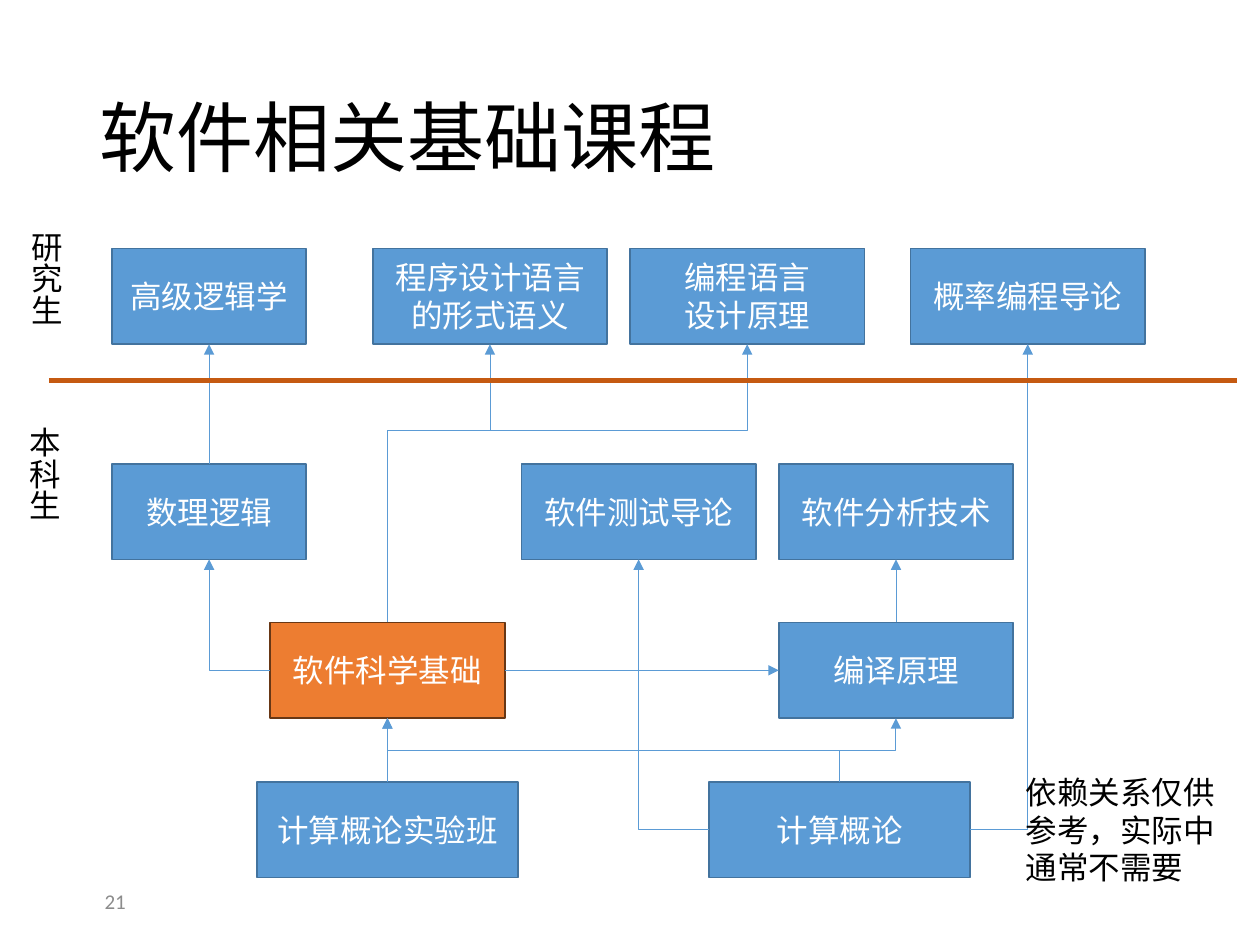
from lxml.etree import SubElement
from pptx import Presentation
from pptx.dml.color import RGBColor
from pptx.enum.shapes import MSO_CONNECTOR as Link, MSO_SHAPE as Shape
from pptx.enum.text import MSO_ANCHOR as Anchor, PP_ALIGN as Align
from pptx.oxml.ns import qn
from pptx.util import Pt

COLORS = {
    "course": "5B9BD5", "course_edge": "43739E",
    "focus": "ED7D31", "focus_edge": "683715",
    "divider": "C55A11", "text": "000000", "label": "FFFFFF", "number": "8C8C8C",
}
FONT = "Calibri"
TITLE = "软件相关基础课程"
NOTE = "依赖关系仅供参考，实际中通常不需要"
PAGE_NUMBER = "21"
LEVELS = [("研究生", 5, 125.3), ("本科生", 3.6, 236.9)]

BOX_HEIGHT = 54.7
ROWS = {"graduate": 142, "advanced": 265, "core": 355.7, "intro": 446.8}
NARROW, NORMAL, WIDE = 111, 134, 149
COURSES = {
    "高级逻辑学": ("graduate", 64, NARROW),
    "程序设计语言\v的形式语义": ("graduate", 213, NORMAL),
    "编程语言\v设计原理": ("graduate", 360, NORMAL),
    "概率编程导论": ("graduate", 520.3, NORMAL),
    "数理逻辑": ("advanced", 64, NARROW),
    "软件测试导论": ("advanced", 298, NORMAL),
    "软件分析技术": ("advanced", 445, NORMAL),
    "软件科学基础": ("core", 154.4, NORMAL),
    "编译原理": ("core", 445, NORMAL),
    "计算概论实验班": ("intro", 146.9, WIDE),
    "计算概论": ("intro", 405.3, WIDE),
}
FOCUS = "软件科学基础"

STRAIGHT_UP = [
    ("计算概论实验班", "软件科学基础"),
    ("编译原理", "软件分析技术"),
    ("数理逻辑", "高级逻辑学"),
]
STRAIGHT_RIGHT = [("软件科学基础", "编译原理")]
SIDE_THEN_UP = [
    ("计算概论", "概率编程导论"),
    ("软件科学基础", "数理逻辑"),
    ("计算概论", "软件测试导论"),
]
UP_SIDE_UP = [
    ("计算概论", "编译原理", 0.5),
    ("计算概论", "软件科学基础", 0.5),
    ("软件科学基础", "程序设计语言\v的形式语义", 0.69),
    ("软件科学基础", "编程语言\v设计原理", 0.69),
]

deck = Presentation()
deck.slide_width, deck.slide_height = Pt(720), Pt(540)
slide = deck.slides.add_slide(deck.slide_layouts[5])


def rgb(name):
    return RGBColor.from_string(COLORS[name])


def write(frame, text, size, color, align=Align.LEFT, anchor=Anchor.TOP):
    frame.text = text
    frame.word_wrap = True
    frame.vertical_anchor = anchor
    for paragraph in frame.paragraphs:
        paragraph.alignment = align
        for run in paragraph.runs:
            run.font.name, run.font.size = FONT, Pt(size)
            run.font.color.rgb = rgb(color)


def add_text(text, left, top, width, height, size, color, **layout):
    area = slide.shapes.add_textbox(Pt(left), Pt(top), Pt(width), Pt(height))
    write(area.text_frame, text, size, color, **layout)
    return area.text_frame


def add_course(name):
    row, left, width = COURSES[name]
    kind = "focus" if name == FOCUS else "course"
    course = slide.shapes.add_shape(
        Shape.RECTANGLE, Pt(left), Pt(ROWS[row]), Pt(width), Pt(BOX_HEIGHT))
    course.shadow.inherit = False
    course.fill.solid()
    course.fill.fore_color.rgb = rgb(kind)
    course.line.color.rgb = rgb(kind + "_edge")
    course.line.width = Pt(1)
    write(course.text_frame, name, 18, "label", Align.CENTER, Anchor.MIDDLE)


def side(name, edge):
    row, left, width = COURSES[name]
    top = ROWS[row]
    return {
        "top": (left + width / 2, top),
        "bottom": (left + width / 2, top + BOX_HEIGHT),
        "left": (left, top + BOX_HEIGHT / 2),
        "right": (left + width, top + BOX_HEIGHT / 2),
    }[edge]


def add_line(kind, start, end, color="course", weight=0.5, arrow=True):
    line = slide.shapes.add_connector(kind, *(Pt(v) for v in (*start, *end)))
    line.line.color.rgb = rgb(color)
    line.line.width = Pt(weight)
    properties = line._element.spPr
    if arrow:
        SubElement(properties.find(qn("a:ln")), qn("a:tailEnd"), type="triangle")
    SubElement(properties, qn("a:effectLst"))
    return properties


def add_side_then_up(source, target):
    end = side(target, "bottom")
    edge = "right" if end[0] > side(source, "top")[0] else "left"
    properties = add_line(Link.ELBOW, side(source, edge), end)
    properties.find(qn("a:prstGeom")).set("prst", "bentConnector2")


def add_up_side_up(source, target, turn):
    (x1, y1), (x2, y2) = side(source, "top"), side(target, "bottom")
    center_x, center_y = (x1 + x2) / 2, (y1 + y2) / 2
    half_rise, half_run = (y1 - y2) / 2, (x2 - x1) / 2
    properties = add_line(
        Link.ELBOW,
        (center_x - half_rise, center_y - half_run),
        (center_x + half_rise, center_y + half_run))
    properties.find(qn("a:xfrm")).set("rot", str(270 * 60000))
    guides = properties.find(qn("a:prstGeom")).find(qn("a:avLst"))
    SubElement(guides, qn("a:gd"), name="adj1", fmla=f"val {round(turn * 100000)}")


title = slide.shapes.title
title.left, title.top, title.width, title.height = Pt(49.5), Pt(28.8), Pt(543.6), Pt(104.4)
write(title.text_frame, TITLE, 44, "text", anchor=Anchor.MIDDLE)
title.text_frame.paragraphs[0].line_spacing = 0.9

for name in COURSES:
    add_course(name)
for source, target in STRAIGHT_UP:
    start, end = side(source, "top"), side(target, "bottom")
    add_line(Link.STRAIGHT, start, (start[0], end[1]))
for source, target in STRAIGHT_RIGHT:
    add_line(Link.STRAIGHT, side(source, "right"), side(target, "left"))
for source, target in SIDE_THEN_UP:
    add_side_then_up(source, target)
for source, target, turn in UP_SIDE_UP:
    add_up_side_up(source, target, turn)

add_line(Link.STRAIGHT, (28, 217.4), (707, 217.4), "divider", 3, arrow=False)
add_text(NOTE, 579, 438, 128, 72.7, 18, "text")
for level, left, top in LEVELS:
    frame = add_text(level, left, top, 36, 62, 18, "text")
    frame.word_wrap = False
    frame._txBody.bodyPr.set("vert", "eaVert")
add_text(PAGE_NUMBER, 49.5, 500.5, 29.5, 28.8, 12, "number",
         align=Align.RIGHT, anchor=Anchor.MIDDLE)

deck.save("out.pptx")
